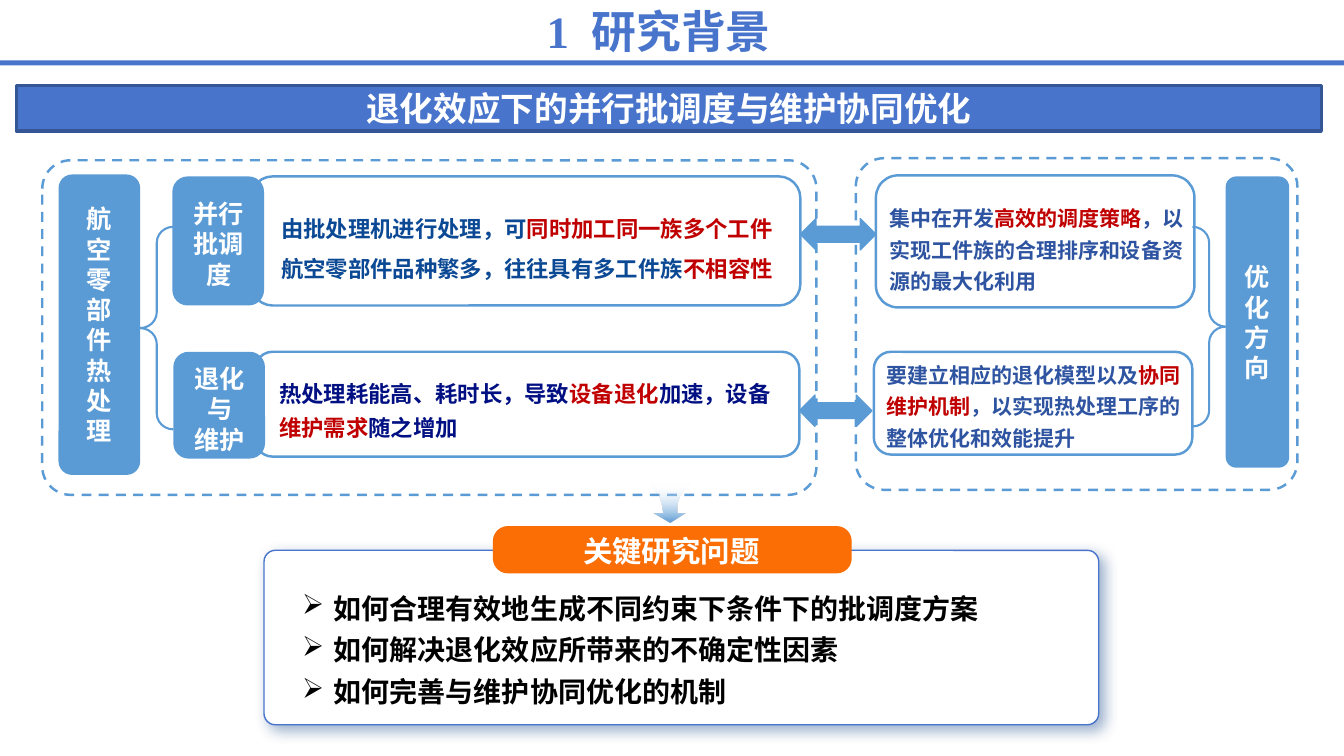
from lxml import etree
from pptx import Presentation
from pptx import util as u
from pptx.dml.color import RGBColor
from pptx.enum import dml, shapes, text
from pptx.oxml import ns

ROYAL = RGBColor(0x48, 0x74, 0xCB)
ROYAL_EDGE = RGBColor(0x35, 0x56, 0x96)
SKY = RGBColor(0x5B, 0x9B, 0xD5)
ORANGE = RGBColor(0xFB, 0x6E, 0x05)
RED = RGBColor(0xC0, 0x00, 0x00)
OCEAN = RGBColor(0x0C, 0x49, 0x94)
NAVY = RGBColor(0x00, 0x0F, 0x82)
INDIGO = RGBColor(0x2E, 0x54, 0xA1)
SHADOW = RGBColor(0x02, 0x37, 0x7E)
WHITE = RGBColor(0xFF, 0xFF, 0xFF)
BLACK = RGBColor(0, 0, 0)

SERIF, SANS = "Times New Roman", "Noto Sans CJK SC"
KIND = shapes.MSO_SHAPE
ALIGN = text.PP_ALIGN
TIGHT, ROOMY = (7.2, 3.6), (9.36, 5.04)


def add_xml(parent, tag, **attributes):
    return etree.SubElement(parent, ns.qn(tag), attributes)


class SlideBuilder:
    def __init__(self, slide):
        self.shapes = slide.shapes

    def paint(self, shape, fill=None, line=None, weight=1.75, dashed=False):
        shape.shadow.inherit = False
        if fill is None:
            shape.fill.background()
        else:
            shape.fill.solid()
            shape.fill.fore_color.rgb = fill
        if line is None:
            shape.line.fill.background()
        else:
            shape.line.color.rgb = line
            shape.line.width = u.Pt(weight)
            if dashed:
                shape.line.dash_style = dml.MSO_LINE.DASH

    def shape(self, kind, area, adjust=(), **paint):
        shape = self.shapes.add_shape(kind, *map(u.Pt, area))
        for index, value in enumerate(adjust):
            shape.adjustments[index] = value
        self.paint(shape, **paint)
        return shape

    def text(self, area, paragraphs, size, color=WHITE, **style):
        box = self.shapes.add_textbox(*map(u.Pt, area))
        self.fill_text(box, paragraphs, size, color, **style)
        return box

    def fill_text(self, box, paragraphs, size, color=WHITE, font=SERIF, align=ALIGN.CENTER,
                  middle=True, insets=TIGHT, spacing=None, bullet=None):
        """Each paragraph is a list of spans: plain text, or (text, color)."""
        frame = box.text_frame
        frame.word_wrap = True
        frame.vertical_anchor = text.MSO_ANCHOR.MIDDLE if middle else text.MSO_ANCHOR.TOP
        frame.margin_left = frame.margin_right = u.Pt(insets[0])
        frame.margin_top = frame.margin_bottom = u.Pt(insets[1])
        for index, spans in enumerate(paragraphs):
            para = frame.add_paragraph() if index else frame.paragraphs[0]
            para.alignment = align
            if spacing:
                para.line_spacing = spacing
            if bullet:
                properties = para._p.get_or_add_pPr()
                indent = u.Pt(22.5)
                properties.set("marL", str(indent))
                properties.set("indent", str(-indent))
                add_xml(properties, "a:buChar", char=bullet)
            for span in spans:
                words, tint = (span, color) if isinstance(span, str) else span
                run = para.add_run()
                run.text = words
                run.font.size = u.Pt(size)
                run.font.bold = True
                run.font.name = font
                run.font.color.rgb = tint
                add_xml(run._r.get_or_add_rPr(), "a:ea", typeface=SANS)

    def down_arrow(self, center, half_outline):
        left_half = [(-x, y) for x, y in reversed(half_outline[1:])]
        points = [(center + x, y) for x, y in half_outline + left_half]
        builder = self.shapes.build_freeform(*points[0], scale=u.Pt(1))
        builder.add_line_segments(points[1:], close=True)
        arrow = builder.convert_to_shape()
        self.paint(arrow)
        arrow.fill.gradient()
        arrow.fill.gradient_angle = 90
        start, end = arrow.fill.gradient_stops
        start.color.rgb, start.position = SKY, 0
        end.color.rgb, end.position = WHITE, 0.81
        faded = arrow._element.spPr.findall(".//" + ns.qn("a:srgbClr"))[-1]
        add_xml(faded, "a:alpha", val="0")

    def cast_shadow(self, shape, color, opacity, blur, distance, degrees):
        effects = shape._element.spPr.find(ns.qn("a:effectLst"))
        outer = add_xml(effects, "a:outerShdw", blurRad=str(u.Pt(blur)), dist=str(u.Pt(distance)),
                        dir=str(degrees * 60000), algn="tl", rotWithShape="0")
        tint = add_xml(outer, "a:srgbClr", val=str(color))
        add_xml(tint, "a:alpha", val=str(opacity * 1000))


def main():
    deck = Presentation()
    deck.slide_width, deck.slide_height = u.Pt(960), u.Pt(540)
    page = SlideBuilder(deck.slides.add_slide(deck.slide_layouts[6]))
    rounded = KIND.ROUNDED_RECTANGLE

    # Title, rule and banner
    page.shape(KIND.RECTANGLE, (0, 43.2, 960, 3.6), fill=ROYAL)
    title = page.text((-12.2, 1.4, 965.5, 41), [["1", " ", "研究背景"]], 32, ROYAL)
    for run in title.text_frame.paragraphs[0].runs[:2]:
        run._r.get_or_add_rPr().set("spc", "400")
    banner = page.shape(KIND.RECTANGLE, (11.5, 61.2, 932.4, 32.4),
                        fill=ROYAL, line=ROYAL_EDGE, weight=2.25)
    page.fill_text(banner, [["退化效应下的并行批调度与维护协同优化"]], 24, font=SANS)

    # Dashed panels
    for area in ((30.2, 114.5, 553, 239), (611.3, 113, 315.4, 236.9)):
        page.shape(rounded, area, [0.085], line=SKY, dashed=True)

    # Vertical headings with their braces
    for area, words in (((41.8, 124.6, 58.3, 214.6), "航空零部件热处理"),
                        ((875.5, 126, 45.4, 208.1), "优化方向")):
        heading = page.shape(rounded, area, fill=SKY)
        page.fill_text(heading, [[words]], 18, insets=ROOMY)
    for kind, area in ((KIND.LEFT_BRACE, (100.1, 162, 23.8, 144.7)),
                       (KIND.RIGHT_BRACE, (851.8, 162, 23.8, 142.6))):
        page.shape(kind, area, [0.478, 0.5], line=SKY, weight=1.5)

    # Topic labels
    for tile, area, lines in (
            ((123.1, 126, 65.5, 92.2), (123.1, 129.6, 66.2, 89.3), [["并行批调度"]]),
            ((123.8, 251.3, 65.5, 76.3), (123.8, 254.9, 66.2, 74.2), [["退化与"], ["维护"]])):
        page.shape(rounded, tile, fill=SKY)
        page.text(area, lines, 18)

    # Outlined detail boxes
    for area in ((179.3, 126, 392.4, 92.2), (182.2, 251.3, 388.8, 74.9),
                 (625.7, 125.3, 227.5, 94.3), (624.2, 251.3, 227.5, 73.4)):
        page.shape(rounded, area, line=SKY)

    # Detail texts
    detail = dict(align=ALIGN.LEFT, insets=ROOMY)
    page.text((191.5, 126.7, 378, 92.2),
              [["由批处理机进行处理，可", ("同时加工同一族多个工件", RED)],
               ["航空零部件品种繁多，往往具有多工件族", ("不相容性", RED)]],
              16, OCEAN, spacing=1.5, **detail)
    page.text((190.1, 254.9, 376.6, 72),
              [["热处理耗能高、耗时长，导致", ("设备退化", RED), "加速，设备",
                ("维护需求", RED), "随之增加"]],
              16, NAVY, font=SANS, spacing=1.25, **detail)
    for area, spans in (
            ((625.7, 137.5, 231.8, 58.3),
             ["集中在开发", ("高效的调度策略", RED),
              "，以实现工件族的合理排序和设备资源的最大化利用"]),
            ((624.2, 249.1, 231.8, 73.4),
             ["要建立相应的退化模型以及", ("协同维护机制", RED),
              "，以实现热处理工序的整体优化和效能提升"])):
        page.text(area, [spans], 15, INDIGO, middle=False, spacing=1.25, **detail)

    # Arrows between the panels and down to the questions
    for area in ((571.7, 156.2, 54, 22.3), (571, 282.2, 51.8, 22.3)):
        page.shape(KIND.LEFT_RIGHT_ARROW, area, fill=SKY, line=SKY, weight=1)
    page.down_arrow(478.8, [(0, 373), (11.5, 365.8), (4.7, 365.8), (5.5, 360), (7.5, 354.5),
                            (11.5, 349.2), (16.5, 343.4), (22.3, 338.4), (23.4, 337.7)])

    # Key research questions
    card = page.shape(rounded, (188.6, 393.1, 596.2, 124.6), [0.065],
                      fill=WHITE, line=ROYAL, weight=1)
    page.cast_shadow(card, SHADOW, opacity=40, blur=10, distance=4, degrees=45)
    page.text((208.8, 412.6, 575.3, 104.4),
              [["如何合理有效地生成不同约束下条件下的批调度方案"],
               ["如何解决退化效应所带来的不确定性因素"],
               ["如何完善与维护协同优化的机制"]],
              20, BLACK, font=SANS, align=ALIGN.LEFT, middle=False, spacing=1.25, bullet="➢")
    page.shape(rounded, (352.1, 375.8, 256.3, 33.8), [0.316], fill=ORANGE)
    page.text((351.4, 377.3, 256.3, 35.3), [["关键研究问题"]], 21, middle=False)

    deck.save("out.pptx")


if __name__ == "__main__":
    main()
